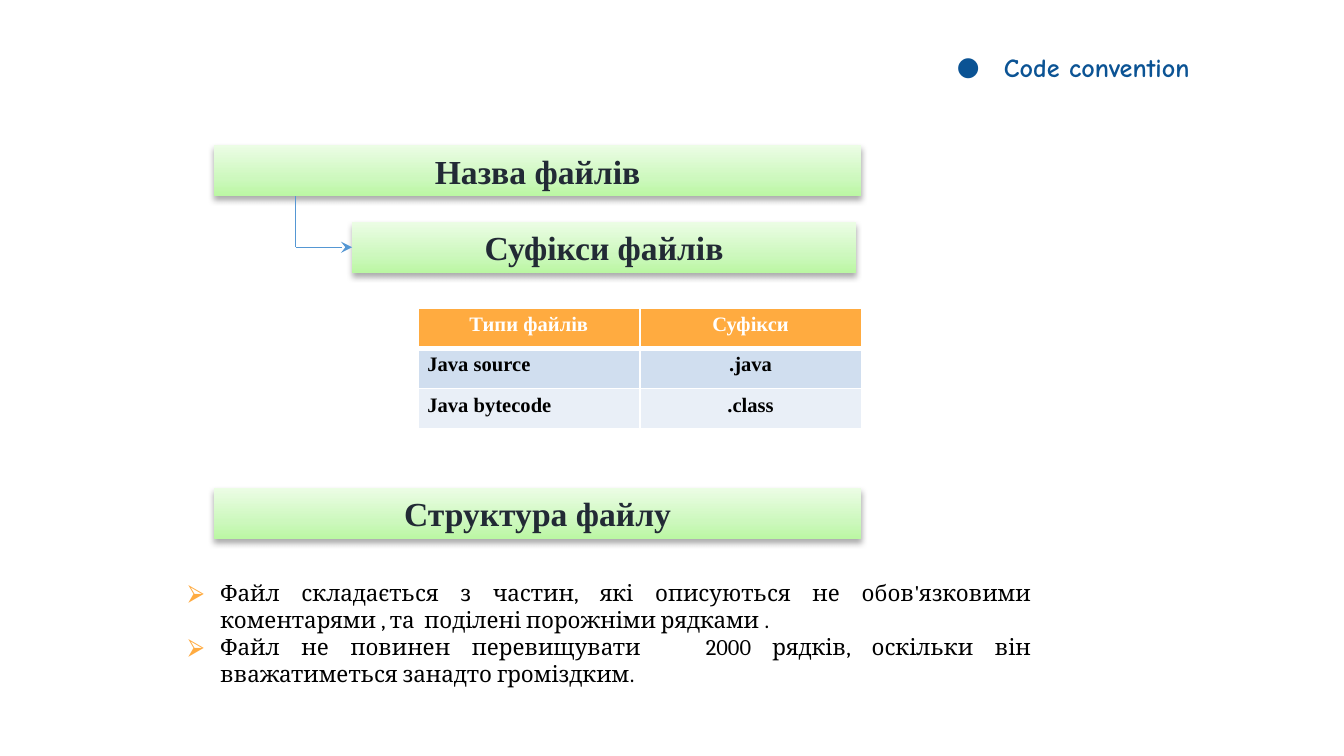
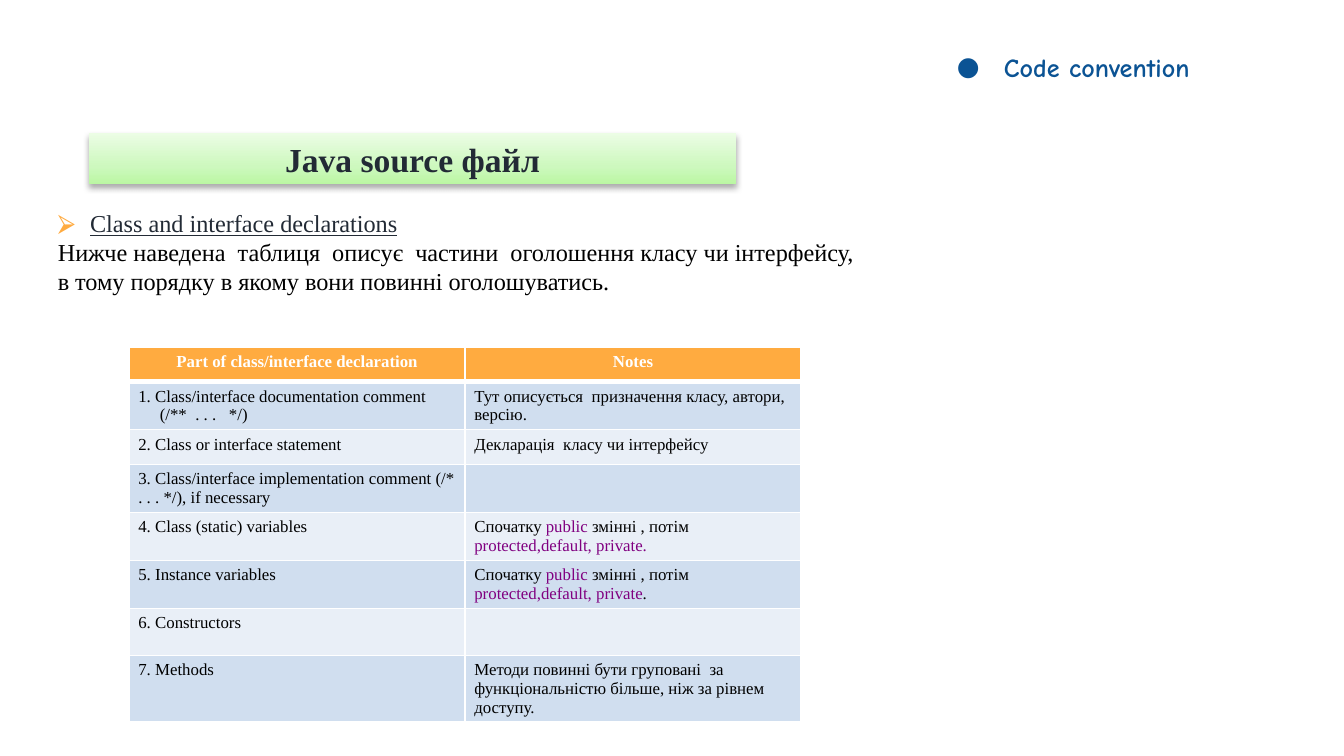
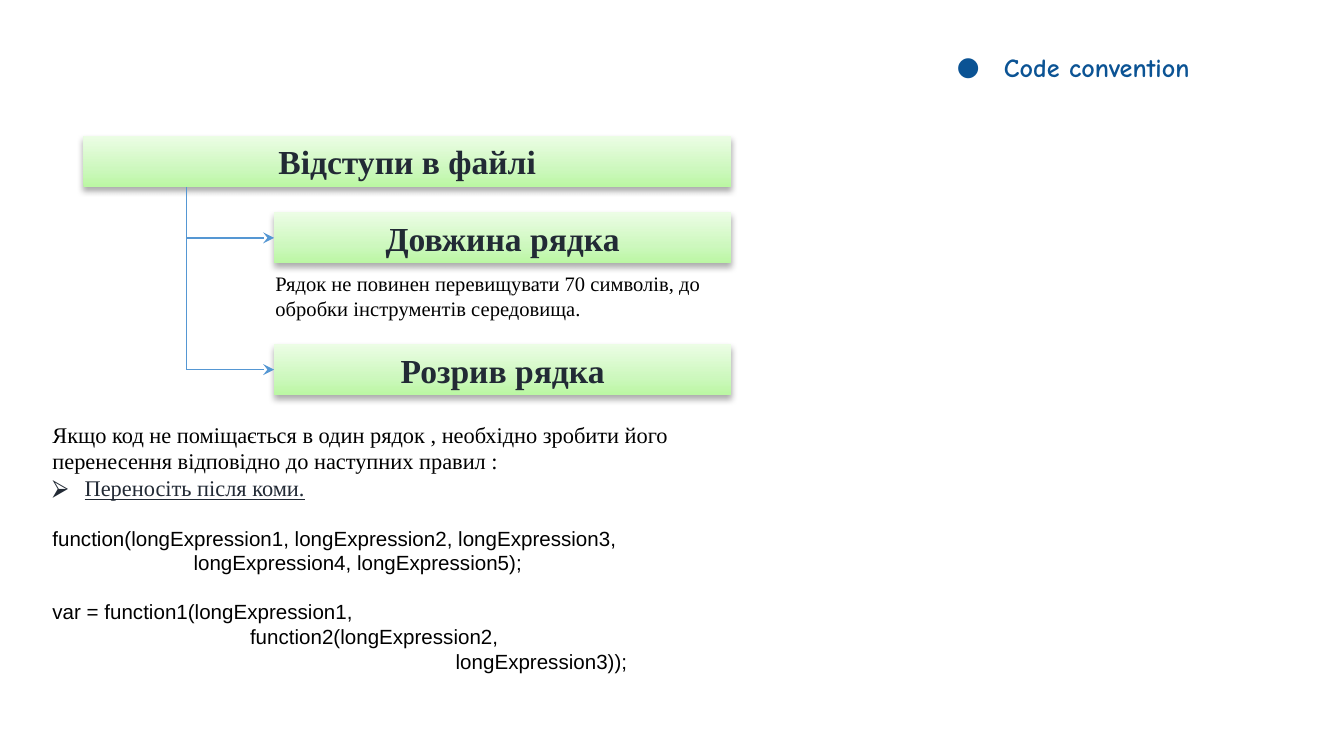
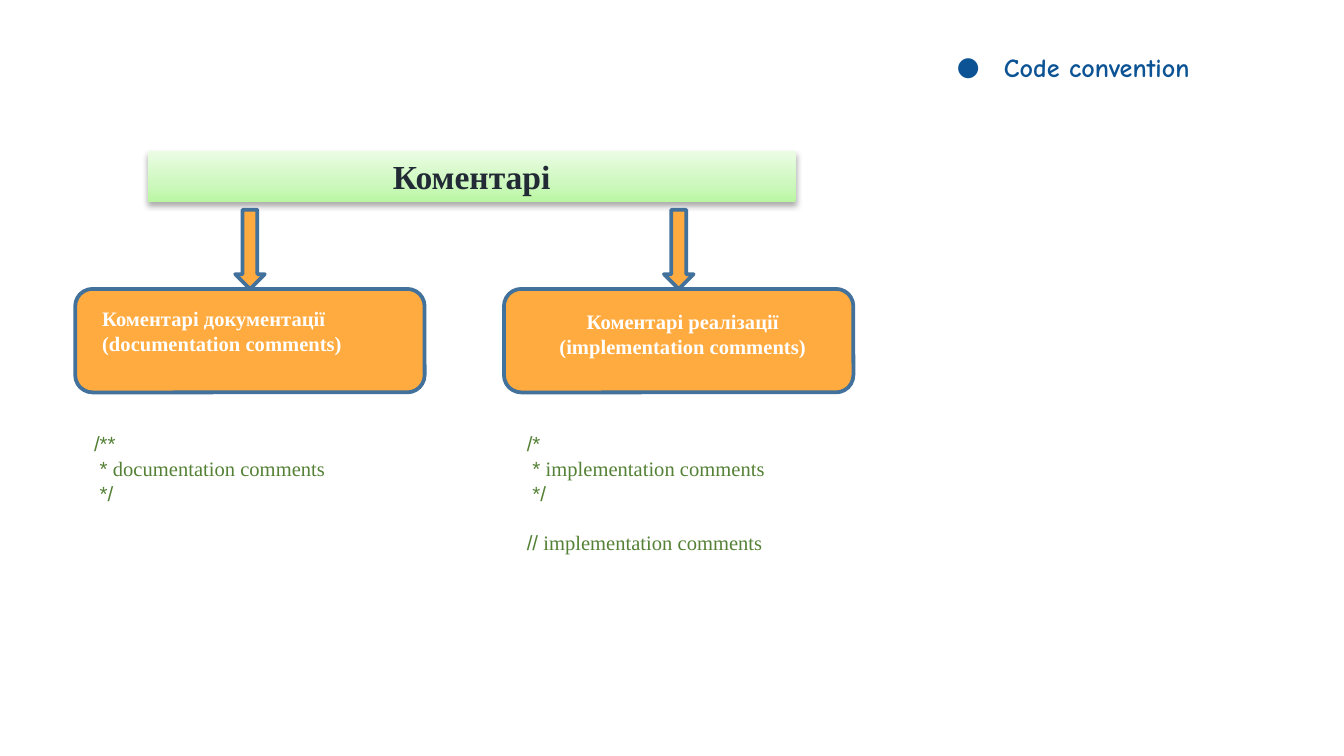
from dataclasses import dataclass

from lxml.etree import SubElement
from pptx import Presentation
from pptx.dml.color import RGBColor
from pptx.enum.shapes import MSO_CONNECTOR, MSO_SHAPE
from pptx.enum.text import MSO_ANCHOR, MSO_AUTO_SIZE, PP_ALIGN
from pptx.oxml.ns import qn
from pptx.util import Inches, Pt


@dataclass(frozen=True)
class Theme:
    white: str = "FFFFFF"
    black: str = "000000"
    ink: str = "222A35"
    orange: str = "FFAB40"
    outline: str = "42719B"
    link: str = "5597D3"
    title: str = "0B5394"
    keyword: str = "800080"
    comment: str = "548135"
    bands: tuple = ("D0DEEF", "E9EFF7")
    bar_stops: tuple = ((0, "BBF7A3"), (35, "CDF8BE"), (100, "ECFDE5"))
    serif: str = "Times New Roman"
    prose: str = "Cambria"
    code: str = "Arial"
    heading: str = "Comic Neue"
    bar_size: int = 18
    title_size: int = 14
    lead_size: int = 13
    body_size: int = 12
    small_size: int = 11
    table_size: int = 9


THEME = Theme()
BAR_WIDTH, BAR_HEIGHT = 4.82, 0.38
TEXT_INSETS = (0.07, 0.04)
TITLE_INSETS = (0.1, 0.1)
ARROW_BULLET = "⮚"


@dataclass
class Para:
    """A paragraph; spans is a string or a list of (text, format) pairs."""
    spans: object = ""
    align: int = PP_ALIGN.LEFT
    left: float = 0
    first: float = 0
    bullet: str = ""
    bullet_color: str = THEME.orange
    bullet_font: str = THEME.code
    gap: float = 0


def style(size, name=THEME.serif, color=THEME.black, **extra):
    return {"size": Pt(size), "name": name, "color": color, **extra}


def child(parent, tag, **attributes):
    return SubElement(parent, qn(tag), {key: str(value) for key, value in attributes.items()})


def format_span(span, values):
    for key, value in values.items():
        if key == "color":
            span.font.color.rgb = RGBColor.from_string(value)
        else:
            setattr(span.font, key, value)


def set_bullet(properties, para):
    properties.set("marL", str(Inches(para.left)))
    properties.set("indent", str(Inches(para.first)))
    if para.bullet:
        child(child(properties, "a:buClr"), "a:srgbClr", val=para.bullet_color)
        child(properties, "a:buFont", typeface=para.bullet_font)
        child(properties, "a:buChar", char=para.bullet)
    else:
        child(properties, "a:buNone")


def write(frame, paras, base):
    for index, para in enumerate(paras):
        paragraph = frame.add_paragraph() if index else frame.paragraphs[0]
        paragraph.alignment = para.align
        paragraph.space_before = Pt(para.gap)
        set_bullet(paragraph._p.get_or_add_pPr(), para)
        spans = [(para.spans, {})] if isinstance(para.spans, str) else para.spans
        for text, changes in spans:
            if text:
                span = paragraph.add_run()
                span.text = text
                format_span(span, {**base, **changes})
            else:
                child(paragraph._p, "a:endParaRPr", sz=int(base["size"].pt * 100))


def set_frame(frame, insets=TEXT_INSETS, anchor=MSO_ANCHOR.TOP):
    across, down = map(Inches, insets)
    values = {
        "margin_left": across, "margin_right": across,
        "margin_top": down, "margin_bottom": down,
        "word_wrap": True, "auto_size": MSO_AUTO_SIZE.NONE, "vertical_anchor": anchor,
    }
    for key, value in values.items():
        setattr(frame, key, value)


def fill_placeholder(box, place, paras, base, insets=TEXT_INSETS):
    for key, value in zip(("left", "top", "width", "height"), place):
        setattr(box, key, Inches(value))
    set_frame(box.text_frame, insets)
    write(box.text_frame, paras, base)


def add_page(deck, with_body=True):
    page = deck.slides.add_slide(deck.slide_layouts[1 if with_body else 5])
    heading = Para("Code convention", left=0.5, first=-0.35, bullet="●",
                   bullet_color=THEME.title, bullet_font=THEME.heading)
    fill_placeholder(page.shapes.title, (6.87, 0.28, 2.58, 0.44), [heading],
                     style(THEME.title_size, THEME.heading, THEME.title, bold=True), TITLE_INSETS)
    return page


def add_text(page, place, paras, base):
    box = page.shapes.add_textbox(*map(Inches, place))
    set_frame(box.text_frame)
    write(box.text_frame, paras, base)


def add_bar(page, left, top, text, width=BAR_WIDTH):
    """Heading bar with a green gradient and a soft shadow below."""
    bar = page.shapes.add_shape(MSO_SHAPE.RECTANGLE, *map(Inches, (left, top, width, BAR_HEIGHT)))
    bar.fill.gradient()
    bar.fill.gradient_angle = 90
    properties = bar.element.spPr
    stops = properties.find(qn("a:gradFill")).find(qn("a:gsLst"))
    stops.clear()
    for position, color in THEME.bar_stops:
        child(child(stops, "a:gs", pos=position * 1000), "a:srgbClr", val=color)
    bar.line.fill.background()
    bar.shadow.inherit = False
    shadow = child(properties.find(qn("a:effectLst")), "a:outerShdw", blurRad=Pt(3.5),
                   dist=Pt(2.2), dir=90 * 60000, algn="t", rotWithShape=0)
    child(child(shadow, "a:srgbClr", val=THEME.black), "a:alpha", val=32000)
    set_frame(bar.text_frame, anchor=MSO_ANCHOR.MIDDLE)
    write(bar.text_frame, [Para(text, PP_ALIGN.CENTER)],
          style(THEME.bar_size, color=THEME.ink, bold=True))
    return bar


def add_line(page, start, end, arrow=False):
    line = page.shapes.add_connector(MSO_CONNECTOR.STRAIGHT, *start, *end)
    line.line.color.rgb = RGBColor.from_string(THEME.link)
    line.line.width = Pt(0.75)
    properties = line.element.spPr
    if arrow:
        child(properties.find(qn("a:ln")), "a:tailEnd", type="stealth")
    child(properties, "a:effectLst")
    return line


def add_branch(page, trunk, top, bar):
    """Line down from top at trunk, then an arrow to the left side of bar."""
    middle = bar.top + bar.height // 2
    add_line(page, (trunk, top), (trunk, middle))
    add_line(page, (trunk, middle), (bar.left, middle), arrow=True).end_connect(bar, 1)
    return middle


def add_block(page, preset, place):
    block = page.shapes.add_shape(preset, *map(Inches, place))
    block.shadow.inherit = False
    block.fill.solid()
    block.fill.fore_color.rgb = RGBColor.from_string(THEME.orange)
    block.line.color.rgb = RGBColor.from_string(THEME.outline)
    block.line.width = Pt(2)


def set_cell(cell, paras, base, color, bottom=1):
    properties = cell._tc.get_or_add_tcPr()
    for side, width in (("L", 1), ("R", 1), ("T", 1), ("B", bottom)):
        border = child(properties, f"a:ln{side}", w=Pt(width))
        child(child(border, "a:solidFill"), "a:srgbClr", val=THEME.white)
    cell.fill.solid()
    cell.fill.fore_color.rgb = RGBColor.from_string(color)
    cell.margin_left = cell.margin_right = Inches(TEXT_INSETS[0])
    cell.margin_top = cell.margin_bottom = Inches(TEXT_INSETS[1])
    write(cell.text_frame, paras, base)


def add_table(page, left, top, column_width, heights, header, rows, base):
    """Orange header row, then banded rows whose cells are lists of Para."""
    count = len(header)
    place = (left, top, column_width * count, sum(heights))
    table = page.shapes.add_table(len(heights), count, *map(Inches, place)).table
    for column in table.columns:
        column.width = Inches(column_width)
    for row, height in zip(table.rows, heights):
        row.height = Inches(height)
    for column, text in enumerate(header):
        set_cell(table.cell(0, column), [Para(text, PP_ALIGN.CENTER)],
                 {**base, "color": THEME.white, "bold": True}, THEME.orange, bottom=3)
    for index, row in enumerate(rows):
        for column, paras in enumerate(row):
            set_cell(table.cell(index + 1, column), paras, base, THEME.bands[index % 2])


def bullet_para(text, **values):
    return Para(text, left=0.24, first=-0.25, bullet=ARROW_BULLET, **values)


def files_page(deck):
    page = add_page(deck)
    names = add_bar(page, 1.59, 1.08, "Назва файлів")
    suffixes = add_bar(page, 2.62, 1.65, "Суфікси файлів", 3.75)
    add_branch(page, Inches(2.2), names.top + names.height, suffixes)
    rows = [[[Para(kind)], [Para(suffix, PP_ALIGN.CENTER)]]
            for kind, suffix in (("Java source", ".java"), ("Java bytecode", ".class"))]
    add_table(page, 3.11, 2.29, 1.65, [0.3] * 3, ("Типи файлів", "Суфікси"), rows,
              style(THEME.small_size, bold=True))
    add_bar(page, 1.59, 3.63, "Структура файлу")
    rules = (
        "Файл складається з частин, які описуються не обов'язковими коментарями , та  поділені порожніми рядками .",
        "Файл не повинен перевищувати   2000 рядків, оскільки він вважатиметься занадто громіздким.",
    )
    fill_placeholder(page.placeholders[1], (1.33, 4.27, 6.42, 0.98),
                     [bullet_para(rule, align=PP_ALIGN.JUSTIFY) for rule in rules],
                     style(THEME.body_size, THEME.prose))


def source_page(deck):
    page = add_page(deck)
    add_bar(page, 0.66, 0.99, "Java source файл")
    intro = [
        bullet_para([("Class and interface declarations", {"color": THEME.ink, "underline": True})],
                    align=PP_ALIGN.JUSTIFY),
        Para("Нижче наведена  таблиця  описує  частини  оголошення класу чи інтерфейсу,", PP_ALIGN.JUSTIFY),
        Para("в тому порядку в якому вони повинні оголошуватись.", PP_ALIGN.JUSTIFY),
    ]
    fill_placeholder(page.placeholders[1], (0.36, 1.51, 6.83, 0.98), intro, style(THEME.lead_size))

    keyword = {"color": THEME.keyword}
    order = [("Спочатку ", {}), ("public", keyword), (" змінні , потім ", {})]
    parts = [
        (Para("1. Class/interface documentation comment (/**  . . .   */)", left=0.16, first=-0.16),
         "Тут описується  призначення класу, автори, версію."),
        (Para("2. Class or interface statement"), "Декларація  класу чи інтерфейсу"),
        (Para("3. Class/interface implementation comment (/* . . . */), if necessary"), ""),
        (Para("4. Class (static) variables"), order + [("protected,default, private.", keyword)]),
        (Para("5. Instance variables"),
         order + [("protected,default, private", keyword), (".", {})]),
        (Para("6. Constructors"), ""),
        (Para("7. Methods"),
         "Методи повинні бути груповані  за функціональністю більше, ніж за рівнем доступу."),
    ]
    add_table(page, 0.96, 2.58, 2.5, [0.26, 0.34, 0.26, 0.35, 0.34, 0.34, 0.35, 0.47],
              ("Part of class/interface declaration", "Notes"),
              [([part], [Para(note)]) for part, note in parts], style(THEME.table_size))


def indents_page(deck):
    page = add_page(deck)
    indents = add_bar(page, 0.62, 1.01, "Відступи в файлі")
    trunk, top = Inches(1.39), indents.top + indents.height
    for bar_top, text in ((1.58, "Довжина рядка"), (2.56, "Розрив рядка")):
        top = add_branch(page, trunk, top, add_bar(page, 2.04, bar_top, text, 3.4))
    add_text(page, (1.98, 1.98, 3.46, 0.76),
             [Para("Рядок не повинен перевищувати 70 символів, до обробки інструментів середовища.")],
             style(THEME.small_size))

    code = {"size": Pt(THEME.small_size), "name": THEME.code}
    code_lines = (
        ("function(longExpression1, longExpression2, longExpression3,", 0, 13),
        ("longExpression4, longExpression5);", 1.05, 0),
        ("var = function1(longExpression1,", 0, 13),
        ("function2(longExpression2,", 1.47, 0),
        ("longExpression3));", 3, 0),
    )
    paras = [
        Para("Якщо код не поміщається в один рядок , необхідно зробити його перенесення відповідно до наступних правил :"),
        bullet_para([("Переносіть після коми.", {"color": THEME.ink, "underline": True})],
                    bullet_color=THEME.ink),
    ]
    paras += [Para([(text, code)], left=left, gap=gap) for text, left, gap in code_lines]
    fill_placeholder(page.placeholders[1], (0.32, 3.09, 5.62, 2.35), paras, style(THEME.body_size))


def comment_paras(opening, words):
    code = {"name": THEME.code}
    return [Para([(opening, code)]), Para([(" *", code), (words, {})]), Para([(" */", code)])]


def comments_page(deck):
    page = add_page(deck, with_body=False)
    add_bar(page, 1.1, 1.12, "Коментарі")
    label_style = style(THEME.small_size, color=THEME.white, bold=True)
    sample_style = style(THEME.small_size, color=THEME.comment)
    words = " implementation comments"
    line_comment = Para([("//", {"name": THEME.code}), (words, {})], gap=13)
    kinds = (
        (0.56, ("Коментарі документації", "(documentation comments)"), PP_ALIGN.LEFT,
         (0.69, 2.24, 2.35, 0.53), (0.63, 3.17, 2.47, 0.76),
         comment_paras("/**", " documentation comments")),
        (3.75, ("Коментарі реалізації", "(implementation comments)"), PP_ALIGN.CENTER,
         (3.87, 2.26, 2.42, 0.53), (3.85, 3.17, 2.47, 1.21),
         comment_paras("/*", words) + [line_comment]),
    )
    for left, label, align, label_place, sample_place, sample in kinds:
        add_block(page, MSO_SHAPE.ROUNDED_RECTANGLE, (left, 2.15, 2.6, 0.77))
        add_block(page, MSO_SHAPE.DOWN_ARROW, (left + 1.19, 1.56, 0.22, 0.59))
        add_text(page, label_place, [Para(line, align) for line in label], label_style)
        add_text(page, sample_place, sample, sample_style)


def main():
    deck = Presentation()
    deck.slide_width = Inches(10)
    deck.slide_height = deck.slide_width * 9 // 16
    for build_page in (files_page, source_page, indents_page, comments_page):
        build_page(deck)
    deck.save("out.pptx")


if __name__ == "__main__":
    main()
